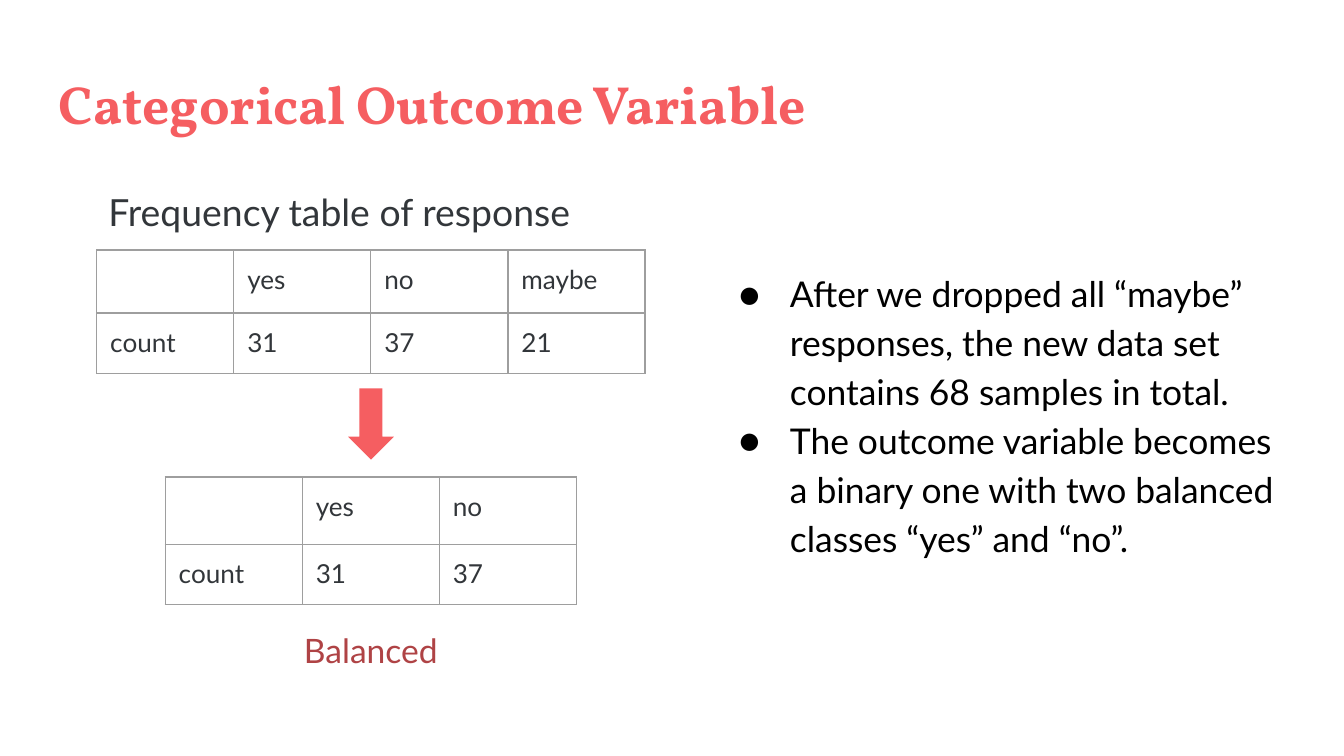
from dataclasses import dataclass

from lxml import etree
from pptx import Presentation
from pptx import util as u
from pptx.dml.color import RGBColor
from pptx.enum import shapes, text
from pptx.oxml import ns


@dataclass(frozen=True)
class Theme:
    accent: str = "F55E61"
    body: str = "32363A"
    note: str = "AF4345"
    black: str = "000000"
    white: str = "FFFFFF"
    border: str = "9E9E9E"
    title_font: str = "Vollkorn"
    body_font: str = "Lato"
    title_size: float = 28.8
    heading_size: int = 20
    bullet_size: int = 19
    note_size: int = 18
    cell_size: int = 14
    border_width: float = 0.75
    line_spacing: float = 1.15


THEME = Theme()
COLUMN_WIDTH = 1.02


def add_element(parent, tag, **attributes):
    return etree.SubElement(parent, ns.qn(tag), attributes)


def style_font(font, size, color, name=THEME.body_font, bold=False):
    font.name = name
    font.size = u.Pt(size)
    font.bold = bold
    font.color.rgb = RGBColor.from_string(color)


def add_text(slide, box, lines, size, color, name=THEME.body_font, bold=False,
             align=text.PP_ALIGN.LEFT, spacing=1.0, bulleted=False):
    shape = slide.shapes.add_textbox(*map(u.Inches, box))
    frame = shape.text_frame
    frame.word_wrap = True
    frame.margin_left = frame.margin_right = u.Inches(0.1)
    frame.margin_top = frame.margin_bottom = u.Inches(0.1)
    frame.text = "\n".join(lines)
    for paragraph in frame.paragraphs:
        paragraph.alignment = align
        paragraph.line_spacing = spacing
        if bulleted:
            add_bullet(paragraph)
        for run in paragraph.runs:
            style_font(run.font, size, color, name, bold)


def add_bullet(paragraph):
    properties = paragraph._p.get_or_add_pPr()
    properties.set("marL", str(u.Inches(0.5)))
    properties.set("indent", str(u.Inches(-0.38)))
    color = add_element(properties, "a:buClr")
    add_element(color, "a:srgbClr", val=THEME.black)
    add_element(properties, "a:buFont", typeface=THEME.body_font)
    add_element(properties, "a:buChar", char="●")


def add_borders(cell):
    properties = cell._tc.get_or_add_tcPr()
    for position, side in enumerate(("a:lnL", "a:lnR", "a:lnT", "a:lnB")):
        line = etree.Element(ns.qn(side), w=str(u.Pt(THEME.border_width)))
        fill = add_element(line, "a:solidFill")
        add_element(fill, "a:srgbClr", val=THEME.border)
        properties.insert(position, line)


def add_count_table(slide, left, top, row_heights, counts):
    rows = [["", *counts], ["count", *map(str, counts.values())]]
    column_count = len(rows[0])
    frame = slide.shapes.add_table(
        len(rows), column_count, u.Inches(left), u.Inches(top),
        u.Inches(column_count * COLUMN_WIDTH), u.Inches(sum(row_heights)))
    table = frame.table
    table.first_row = table.horz_banding = False
    for column in table.columns:
        column.width = u.Inches(COLUMN_WIDTH)
    for row, height, values in zip(table.rows, row_heights, rows):
        row.height = u.Inches(height)
        for cell, value in zip(row.cells, values):
            cell.margin_left = cell.margin_right = u.Inches(0.1)
            cell.margin_top = cell.margin_bottom = u.Inches(0.1)
            cell.text = value
            paragraph = cell.text_frame.paragraphs[0]
            for target in (paragraph, *paragraph.runs):
                style_font(target.font, THEME.cell_size, THEME.body)
            cell.fill.background()
            add_borders(cell)


def add_down_arrow(slide, box):
    arrow = slide.shapes.add_shape(shapes.MSO_SHAPE.DOWN_ARROW, *map(u.Inches, box))
    arrow.shadow.inherit = False
    arrow.fill.solid()
    arrow.fill.fore_color.rgb = RGBColor.from_string(THEME.accent)
    arrow.line.fill.background()


def add_frequency_panel(slide, left, top, width):
    center = left + 2.42
    add_text(slide, (left, top, width, 0.59), ["Frequency table of response"],
             THEME.heading_size, THEME.body, align=text.PP_ALIGN.CENTER,
             spacing=THEME.line_spacing)
    add_count_table(slide, center - 2 * COLUMN_WIDTH, top + 0.6, (0.47, 0.45),
                    {"yes": 31, "no": 37, "maybe": 21})
    add_down_arrow(slide, (center - 0.17, top + 1.63, 0.34, 0.53))
    add_count_table(slide, center - 1.5 * COLUMN_WIDTH, top + 2.29, (0.5, 0.45),
                    {"yes": 31, "no": 37})
    add_text(slide, (center - 2.5, top + 3.33, 5, 0.5), ["Balanced"],
             THEME.note_size, THEME.note, align=text.PP_ALIGN.CENTER)


def add_conclusions(slide, box):
    lines = [
        "After we dropped all “maybe” responses, the new data set contains 68 samples in total.",
        "The outcome variable becomes a binary one with two balanced classes “yes” and “no”.",
    ]
    add_text(slide, box, lines, THEME.bullet_size, THEME.black,
             spacing=THEME.line_spacing, bulleted=True)


def main():
    presentation = Presentation()
    presentation.slide_width = u.Inches(10)
    presentation.slide_height = u.Inches(10 * 9 / 16)
    slide = presentation.slides.add_slide(presentation.slide_layouts[6])
    slide.background.fill.solid()
    slide.background.fill.fore_color.rgb = RGBColor.from_string(THEME.white)
    add_text(slide, (0.34, 0.43, 9.32, 0.68), ["Categorical Outcome Variable"],
             THEME.title_size, THEME.accent, THEME.title_font, bold=True)
    add_frequency_panel(slide, 0.34, 1.26, 4.37)
    add_conclusions(slide, (5.28, 1.88, 4.37, 2.54))
    presentation.save("out.pptx")


if __name__ == "__main__":
    main()
